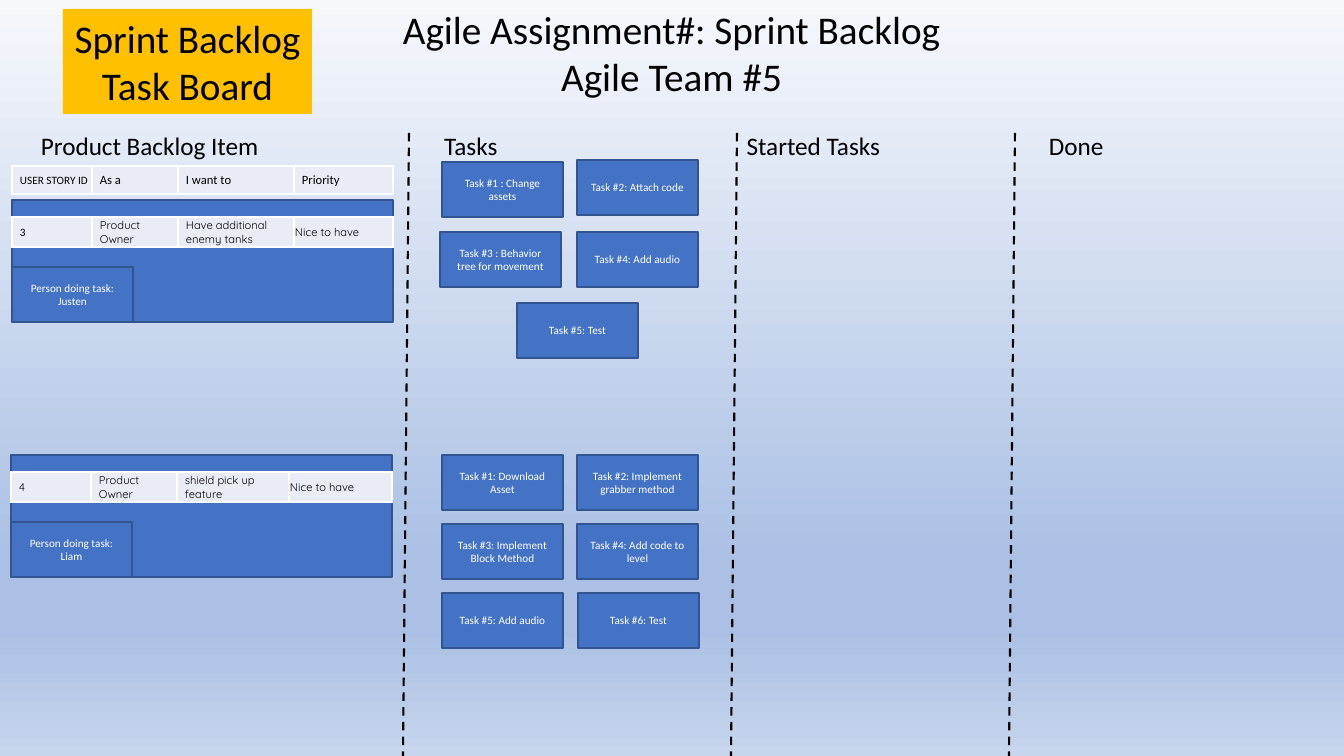
from lxml import etree
from pptx import Presentation
from pptx import util as u
from pptx.dml.color import RGBColor
from pptx.enum import dml, shapes, text
from pptx.oxml.ns import qn

color = RGBColor.from_string


def px(*lengths):
    return [u.Emu(round(length * 914400 / 100.8)) for length in lengths]


def add_card(left, top, width, height, words=""):
    shape = slide.shapes.add_shape(shapes.MSO_SHAPE.RECTANGLE, *px(left, top, width, height))
    shape.shadow.inherit = False
    shape.fill.solid()
    shape.fill.fore_color.rgb = color("4472C4")
    shape.line.color.rgb = color("325491")
    shape.line.width = u.Pt(1)
    if words:
        frame = shape.text_frame
        frame.text = words
        frame.word_wrap = True
        frame.vertical_anchor = text.MSO_ANCHOR.MIDDLE
        paragraph = frame.paragraphs[0]
        paragraph.alignment = text.PP_ALIGN.CENTER
        paragraph.font.size = u.Pt(8)
        paragraph.font.name = "Calibri"
        paragraph.font.color.rgb = color("FFFFFF")


presentation = Presentation()
presentation.slide_width, presentation.slide_height = px(1344, 756)
slide = presentation.slides.add_slide(presentation.slide_layouts[6])

background = slide.background.fill
background.gradient()
background.gradient_angle = 270
stops = slide.element.find(".//" + qn("a:gsLst"))
for stop in list(stops):
    stops.remove(stop)
for percent, shade in [(0, "F6F8FC"), (74, "ABC0E4"), (83, "ABC0E4"), (100, "C7D5ED")]:
    stop = etree.SubElement(stops, qn("a:gs"), pos=str(percent * 1000))
    etree.SubElement(stop, qn("a:srgbClr"), val=shade)

center, left_aligned = text.PP_ALIGN.CENTER, text.PP_ALIGN.LEFT
labels = [
    ((390, 0, 563, 105), "Agile Assignment#: Sprint Backlog\nAgile Team #5", 28, center, None),
    ((31, 125, 1094, 40), "Product Backlog Item\tTasks\tStarted Tasks\tDone", 18, left_aligned, None),
    ((63, 9, 249, 105), "Sprint Backlog\nTask Board", 28, center, "FFC000"),
]
for box, words, size, alignment, fill in labels:
    label = slide.shapes.add_textbox(*px(*box))
    label.text_frame.word_wrap = False
    label.text_frame.text = words
    if fill:
        label.fill.solid()
        label.fill.fore_color.rgb = color(fill)
    for paragraph in label.text_frame.paragraphs:
        paragraph.alignment = alignment
        paragraph.font.size = u.Pt(size)
        paragraph.font.name = "Calibri"
        paragraph.font.color.rgb = color("000000")
        if "\t" in words:
            properties = paragraph._p.get_or_add_pPr()
            tabs = etree.Element(qn("a:tabLst"))
            properties.insert(0, tabs)
            for inches in (4, 7, 10):
                etree.SubElement(tabs, qn("a:tab"), pos=str(u.Inches(inches)), algn="l")

stories = [(12, 200, "Person doing task: Justen"), (11, 455, "Person doing task: Liam")]
for left, top, person in stories:
    add_card(left, top, 381, 122)
    add_card(left, top + 67, 121, 55, person)

tables = [
    (12, 166, 28, (80, 86, 116, 99), [
        ("USER STORY ID", 8, "Calibri", 8), ("As a", 9, "Calibri", 8),
        ("I want to", 9, "Calibri", 8), ("Priority", 9, "Calibri", 8)]),
    (12, 217, 30, (80, 86, 116, 99), [
        ("3", 8, "Calibri", 8), ("Product Owner", 8, "Quicksand", 8),
        ("Have additional enemy tanks", 8, "Quicksand", 8), ("Nice to have", 8, "Quicksand", 1)]),
    (11, 472, 30, (80, 86, 112, 103), [
        ("4", 8, "Quicksand", 8), ("Product Owner", 8, "Quicksand", 8),
        ("shield pick up feature", 8, "Quicksand", 8), ("Nice to have", 8, "Quicksand", 1)]),
]
for left, top, height, widths, entries in tables:
    frame = slide.shapes.add_table(1, 4, *px(left, top, sum(widths), height))
    table = frame.table
    table.first_row = table.horz_banding = False
    for column, width, cell, entry in zip(table.columns, px(*widths), table.rows[0].cells, entries):
        words, size, font, inset = entry
        column.width = width
        cell.text = words
        cell.vertical_anchor = text.MSO_ANCHOR.MIDDLE
        cell.margin_left, cell.margin_top, cell.margin_right, cell.margin_bottom = px(inset, 1, 1, 0)
        paragraph = cell.text_frame.paragraphs[0]
        paragraph.font.size = u.Pt(size)
        paragraph.font.name = font
        paragraph.font.color.rgb = color("000000")
        properties = cell._tc.get_or_add_tcPr()
        for side in ("a:lnL", "a:lnR", "a:lnT", "a:lnB"):
            border = etree.SubElement(properties, qn(side), w=str(u.Pt(1)))
            solid = etree.SubElement(border, qn("a:solidFill"))
            etree.SubElement(solid, qn("a:srgbClr"), val="FFFFFF")
        cell.fill.solid()
        cell.fill.fore_color.rgb = color("E9EBF5")

tasks = [
    (442, 162, "Task #1 : Change assets"),
    (577, 160, "Task #2: Attach code"),
    (440, 232, "Task #3 : Behavior tree for movement"),
    (577, 232, "Task #4: Add audio"),
    (517, 303, "Task #5: Test"),
    (442, 455, "Task #1: Download Asset"),
    (577, 455, "Task #2: Implement grabber method"),
    (442, 524, "Task #3: Implement Block Method"),
    (577, 524, "Task #4: Add code to level"),
    (442, 593, "Task #5: Add audio"),
    (578, 593, "Task #6: Test"),
]
for left, top, words in tasks:
    add_card(left, top, 121, 55, words)

for x in (409, 737, 1015):
    divider = slide.shapes.add_connector(shapes.MSO_CONNECTOR.STRAIGHT, *px(x, 133, x - 6, 756))
    divider.line.color.rgb = color("000000")
    divider.line.width = u.Pt(1.5)
    divider.line.dash_style = dml.MSO_LINE.DASH
    etree.SubElement(divider._element.spPr, qn("a:effectLst"))

presentation.save("out.pptx")
